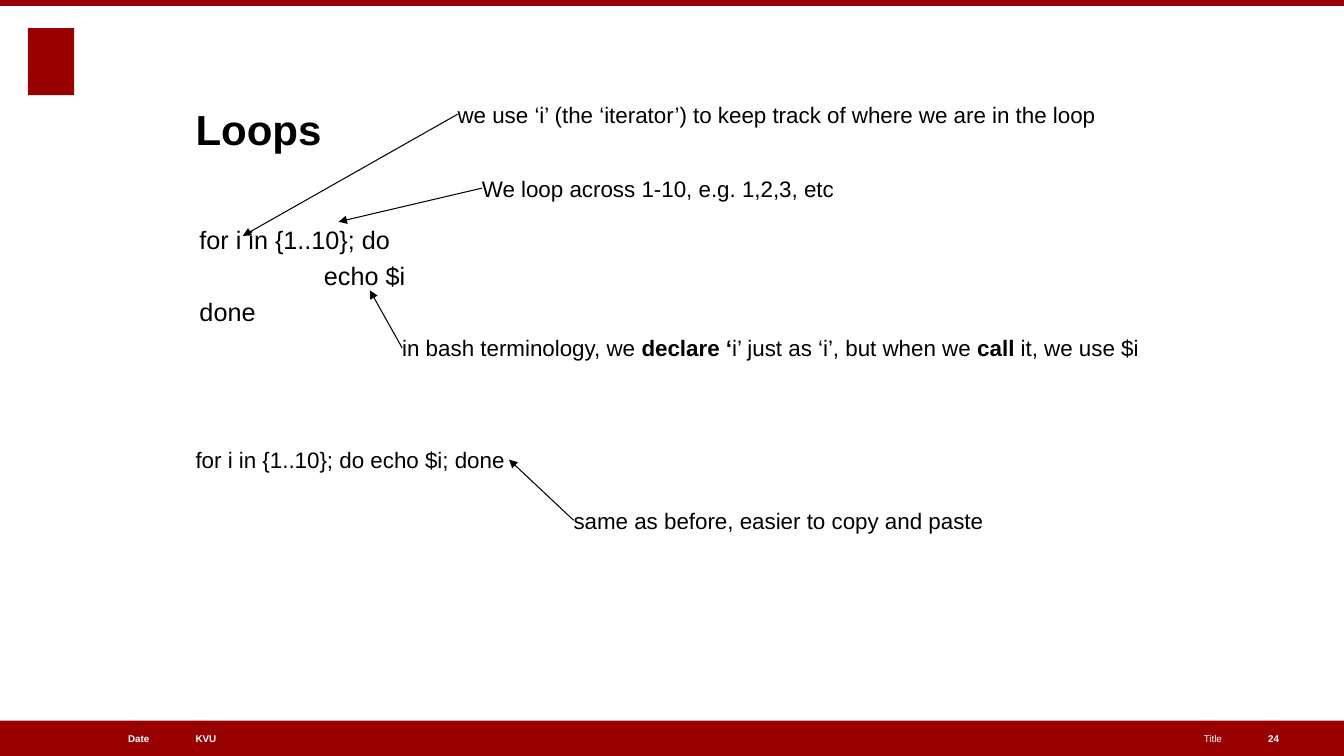
"""Build the slide that explains loops in bash."""
from lxml import etree
from pptx import Presentation
from pptx.dml.color import RGBColor
from pptx.enum import shapes, text
from pptx.oxml.ns import qn
from pptx.util import Pt

HUES = {"red": "990000", "ink": "000000", "pale": "FFFFFF"}
FONT = "Arial"
WIDE, HIGH = 960, 540
FOOT = 25.2
EDGE = 139.7
NOTE = 19.2

BARS = [(0, HIGH - FOOT, WIDE, FOOT), (0, 0, WIDE, 4.3), (20, 20, 33, 48)]
TITLE = "Loops"
CODE = [("for i in {1..10}; do", 0), ("echo $i", 88.9), ("done", 0)]
SHORT = "for i in {1..10}; do echo $i; done"
NOTES = [
    (344.2, 124.8, 255, (241.9, 158.4), [("We loop across 1-10, e.g. 1,2,3, etc", False)]),
    (326.9, 72, 462, (173.5, 168.5),
     [("we use ‘i’ (the ‘iterator’) to keep track of where we are in the loop", False)]),
    (287.3, 239, 533, (264.2, 207.4),
     [("in bash terminology, we ", False), ("declare ‘", True),
      ("i’ just as ‘i’, but when we ", False), ("call ", True),
      ("it, we use $i", False)]),
    (409.7, 362, 297, (363.6, 328.3), [("same as before, easier to copy and paste", False)]),
]
LEFT, RIGHT = text.PP_ALIGN.LEFT, text.PP_ALIGN.RIGHT
TOP, MID, LOW = text.MSO_ANCHOR.TOP, text.MSO_ANCHOR.MIDDLE, text.MSO_ANCHOR.BOTTOM
FOOTER = [
    ("KVU", EDGE, 268, LEFT, True),
    ("Date", 19.4, 87.2, RIGHT, True),
    ("Title", 440, 432.8, RIGHT, False),
    ("24", 905.8, 34, LEFT, True),
]


def color(name):
    return RGBColor.from_string(HUES[name])


def frame(slide, box, anchor=TOP, wrap=True):
    body = slide.shapes.add_textbox(*map(Pt, box)).text_frame
    body.margin_left = body.margin_right = body.margin_top = body.margin_bottom = 0
    body.word_wrap = wrap
    body.vertical_anchor = anchor
    return body


def style(para, size, bold=None, hue="ink", align=LEFT):
    para.alignment = align
    font = para.font
    font.name, font.size, font.bold = FONT, Pt(size), bold
    font.color.rgb = color(hue)


def write(slide, box, words, size, bold=False, hue="ink", align=LEFT, anchor=TOP, wrap=True):
    para = frame(slide, box, anchor, wrap).paragraphs[0]
    para.text = words
    style(para, size, bold, hue, align)


def bar(slide, box):
    shape = slide.shapes.add_shape(shapes.MSO_SHAPE.RECTANGLE, *map(Pt, box))
    shape.shadow.inherit = False
    shape.fill.solid()
    shape.fill.fore_color.rgb = color("red")
    shape.line.fill.background()


def arrow(slide, start, end):
    link = slide.shapes.add_connector(shapes.MSO_CONNECTOR.STRAIGHT, *map(Pt, start + end))
    link.line.color.rgb = color("ink")
    link.line.width = Pt(0.75)
    etree.SubElement(link.line._get_or_add_ln(), qn("a:tailEnd"), type="triangle")
    etree.SubElement(link._element.spPr, qn("a:effectLst"))


def code(slide):
    body = frame(slide, (142.5, 160, 733, 80))
    for row, (words, indent) in enumerate(CODE):
        para = body.add_paragraph() if row else body.paragraphs[0]
        para.text = words
        para.space_after = Pt(4.3)
        style(para, 18)
        para._p.get_or_add_pPr().set("marL", str(Pt(indent)))


def note(slide, left, top, width, tip, runs):
    para = frame(slide, (left, top, width, NOTE), wrap=False).paragraphs[0]
    style(para, 16)
    for words, bold in runs:
        run = para.add_run()
        run.text, run.font.bold = words, bold
    arrow(slide, (left, top + NOTE / 2), tip)


def main():
    deck = Presentation()
    deck.slide_width, deck.slide_height = Pt(WIDE), Pt(HIGH)
    slide = deck.slides.add_slide(deck.slide_layouts[6])
    for box in BARS:
        bar(slide, box)
    for words, left, width, align, bold in FOOTER:
        write(slide, (left, HIGH - FOOT, width, FOOT), words, 7, bold, "pale", align, MID)
    write(slide, (EDGE, 33.8, 733, 76.3), TITLE, 30, True, anchor=LOW)
    code(slide)
    write(slide, (EDGE, 319, 224, NOTE), SHORT, 16, wrap=False)
    for item in NOTES:
        note(slide, *item)
    deck.save("out.pptx")


if __name__ == "__main__":
    main()
